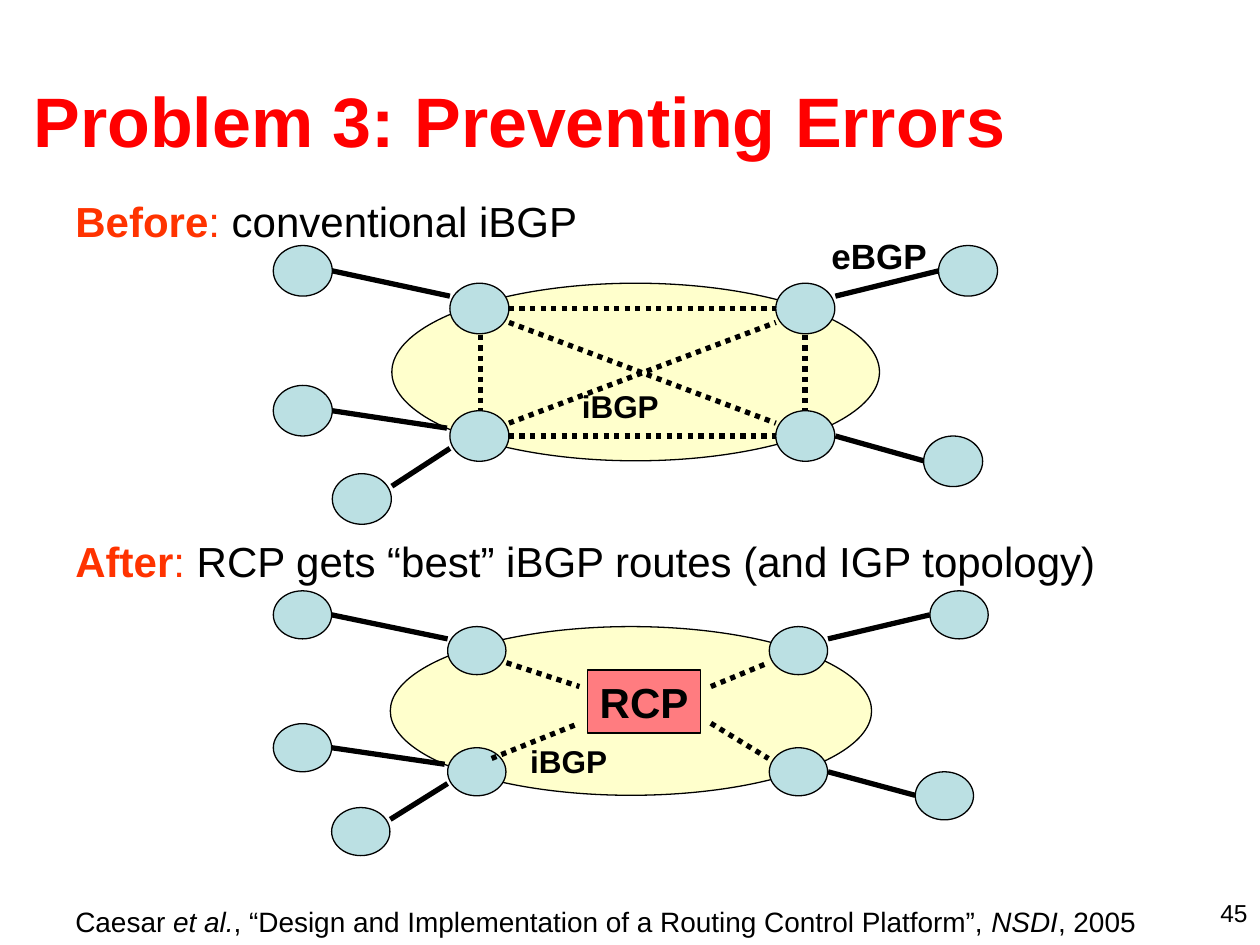
from pptx import Presentation
from pptx import util as u
from pptx.dml.color import RGBColor
from pptx.enum import dml, shapes, text
from pptx.oxml import xmlchemy

RED = RGBColor(0xFF, 0x00, 0x00)
ORANGE = RGBColor(0xFF, 0x33, 0x00)
BLACK = RGBColor(0x00, 0x00, 0x00)
CREAM = RGBColor(0xFF, 0xFF, 0xCC)
BLUE = RGBColor(0xBB, 0xE0, 0xE3)
PINK = RGBColor(0xFF, 0x7C, 0x80)

ROUTER_SIZE = (1.19, 1.02)
CORE_AREA = (2.39, 0.76, 9.83, 3.58)
CORE_ROUTERS = [(x, y) for x in (3.56, 10.13) for y in (0.76, 3.33)]
EDGE_ROUTERS = [(0, 0), (0, 2.82), (1.19, 4.6), (13.41, 0), (13.11, 3.84)]
EDGE_LINKS = [
    (1.19, 0.51, 3.56, 1.02),
    (1.19, 3.33, 3.5, 3.68),
    (2.39, 4.85, 3.56, 4.09),
    (11.33, 1.02, 13.41, 0.51),
    (11.33, 3.84, 13.11, 4.34),
]
MESH_SESSIONS = [
    (10.26, 6.22, 15.64, 6.22),
    (10.26, 8.79, 15.64, 8.79),
    (9.68, 6.75, 9.68, 8.28),
    (16.23, 6.75, 16.23, 8.28),
    (10.26, 8.53, 15.64, 6.5),
    (10.26, 6.5, 15.64, 8.53),
]
RCP_SESSIONS = [
    (10.21, 13.36, 11.68, 13.84),
    (9.91, 15.29, 11.68, 14.58),
    (14.33, 13.84, 15.49, 13.36),
    (14.33, 14.58, 15.49, 15.29),
]


class SlideBuilder:
    font = "Arial"

    def __init__(self, slide):
        self.slide = slide

    def fill_text(self, shape, spans, size, align=text.PP_ALIGN.LEFT,
                  anchor=text.MSO_ANCHOR.TOP, wrap=False):
        frame = shape.text_frame
        frame.word_wrap = wrap
        frame.vertical_anchor = anchor
        para = frame.paragraphs[0]
        para.alignment = align
        for words, color, bold, italic in spans:
            span = para.add_run()
            span.text = words
            span.font.name = self.font
            span.font.size = u.Pt(size)
            span.font.color.rgb = color
            span.font.bold = bold
            span.font.italic = italic

    def label(self, area, spans, size, **layout):
        box = self.slide.shapes.add_textbox(*map(u.Cm, area))
        self.fill_text(box, spans, size, **layout)

    def shape(self, kind, area, color):
        shape = self.slide.shapes.add_shape(kind, *map(u.Cm, area))
        shape.shadow.inherit = False
        shape.fill.solid()
        shape.fill.fore_color.rgb = color
        shape.line.color.rgb = BLACK
        shape.line.width = u.Pt(0.75)
        return shape

    def link(self, ends, dotted=False):
        line = self.slide.shapes.add_connector(
            shapes.MSO_CONNECTOR.STRAIGHT, *map(u.Cm, ends))
        line.line.color.rgb = BLACK
        line.line.width = u.Pt(3)
        if dotted:
            line.line.dash_style = dml.MSO_LINE.ROUND_DOT
        properties = line._element.spPr
        properties.append(xmlchemy.OxmlElement("a:effectLst"))

    def network(self, left, top, scale_x, scale_y, sessions):
        def place(x, y):
            return left + x * scale_x, top + y * scale_y

        def ellipse(x, y, width, height, color):
            area = (*place(x, y), width * scale_x, height * scale_y)
            self.shape(shapes.MSO_SHAPE.OVAL, area, color)

        ellipse(*CORE_AREA, CREAM)
        for router in CORE_ROUTERS + EDGE_ROUTERS:
            ellipse(*router, *ROUTER_SIZE, BLUE)
        for x1, y1, x2, y2 in EDGE_LINKS:
            self.link((*place(x1, y1), *place(x2, y2)))
        for session in sessions:
            self.link(session, dotted=True)


def heading(word, rest):
    return [(word, ORANGE, True, False), (":", ORANGE, False, False),
            (rest, BLACK, False, False)]


def bold(words, color=BLACK):
    return [(words, color, True, False)]


def plain(words, italic=False):
    return (words, BLACK, False, italic)


def main():
    deck = Presentation()
    deck.slide_width, deck.slide_height = u.Cm(25.4), u.Cm(19.05)
    page = SlideBuilder(deck.slides.add_slide(deck.slide_layouts[6]))

    page.label((0.43, 0.81, 24.33, 3.18), bold("Problem 3: Preventing Errors", RED),
               40, anchor=text.MSO_ANCHOR.MIDDLE, wrap=True)

    page.network(5.51, 11.91, 0.987, 0.95, RCP_SESSIONS)
    page.label((10.44, 14.83, 2.06, 1.02), bold("iBGP"), 18)
    controller = page.shape(shapes.MSO_SHAPE.RECTANGLE, (11.84, 13.51, 2.29, 1.27), PINK)
    page.fill_text(controller, bold("RCP"), 24)
    page.label((1.27, 10.67, 21.11, 1.27),
               heading("After", " RCP gets “best” iBGP routes (and IGP topology)"), 24)

    page.network(5.51, 4.95, 1, 1, MESH_SESSIONS)
    page.label((11.48, 7.67, 2.06, 1.02), bold("iBGP"), 18)
    page.label((16.51, 4.6, 2.44, 1.12), bold("eBGP"), 20)
    page.label((1.27, 3.81, 10.62, 1.27), heading("Before", " conventional iBGP"), 24)

    page.label((1.27, 18.11, 24.56, 0.94), [
        plain("Caesar "),
        plain("et al.", True),
        plain(", “Design and Implementation of a Routing Control Platform”, "),
        plain("NSDI", True),
        plain(", 2005"),
    ], 16, wrap=True)
    page.label((19.48, 17.98, 5.92, 0.64), [plain("45")], 14,
               align=text.PP_ALIGN.RIGHT, wrap=True)

    deck.save("out.pptx")


if __name__ == "__main__":
    main()
